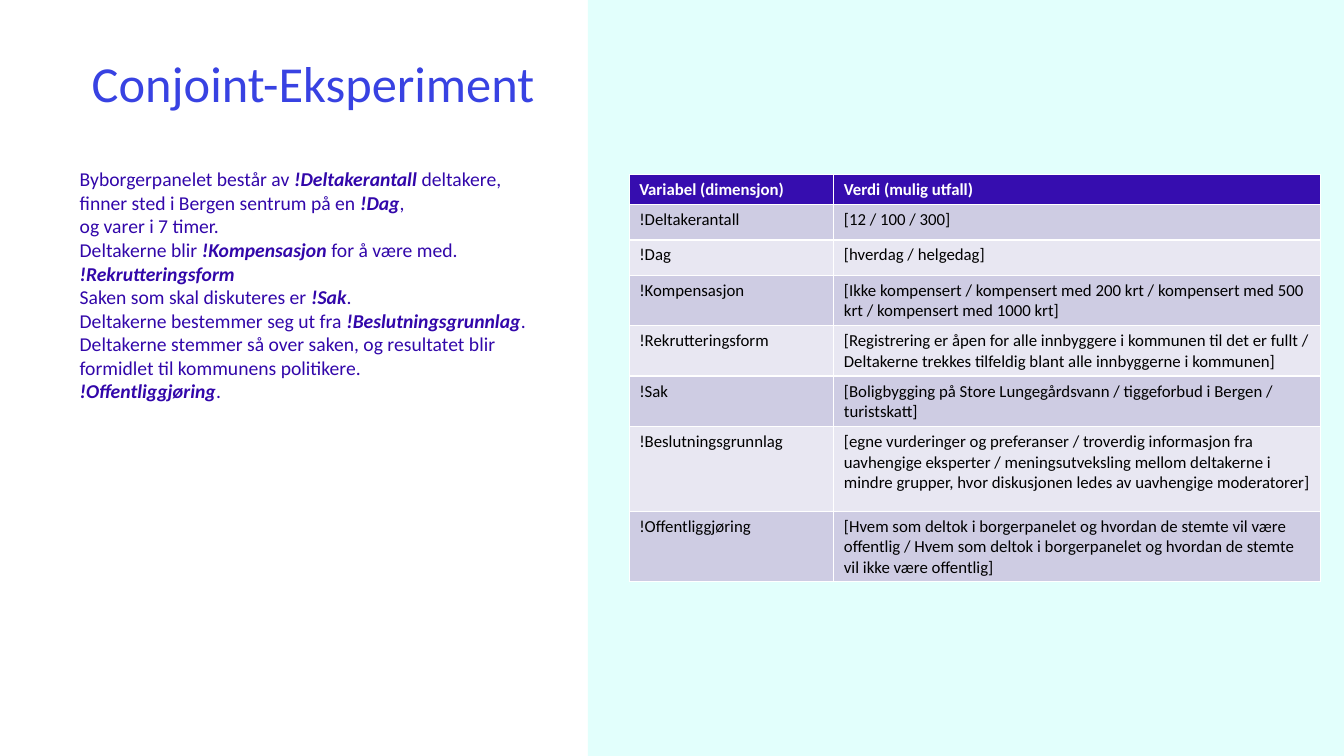
from pptx import Presentation
from pptx.dml.color import RGBColor
from pptx.enum.shapes import MSO_SHAPE
from pptx.util import Inches, Pt

FONT = "Calibri"
MINT = RGBColor(0xE2, 0xFF, 0xFC)
BLUE = RGBColor(0x38, 0x42, 0xE2)
PURPLE = RGBColor(0x32, 0x07, 0xAA)
HEADER = RGBColor(0x36, 0x0D, 0xAF)
BANDS = (RGBColor(0xE8, 0xE7, 0xF2), RGBColor(0xCE, 0xCC, 0xE3))
WHITE = RGBColor(0xFF, 0xFF, 0xFF)
BLACK = RGBColor(0, 0, 0)

LINES = [
    ["Byborgerpanelet består av ", "!Deltakerantall", " deltakere,"],
    ["finner sted i Bergen sentrum på en ", "!Dag", ", "],
    ["og varer i 7 timer."],
    ["Deltakerne blir ", "!Kompensasjon", " for å være med."],
    ["!Rekrutteringsform"],
    ["Saken som skal diskuteres er ", "!Sak", "."],
    ["Deltakerne bestemmer seg ut fra ", "!Beslutningsgrunnlag", "."],
    ["Deltakerne stemmer så over saken, og resultatet blir formidlet til kommunens politikere."],
    ["!Offentliggjøring", "."],
]
ROWS = [
    (0.29, "Variabel (dimensjon)", "Verdi (mulig utfall)"),
    (0.35, "!Deltakerantall", "[12 / 100 / 300]"),
    (0.35, "!Dag", "[hverdag / helgedag]"),
    (0.47, "!Kompensasjon", "[Ikke kompensert / kompensert med 200 krt / "
     "kompensert med 500 krt / kompensert med 1000 krt]"),
    (0.47, "!Rekrutteringsform", "[Registrering er åpen for alle innbyggere i kommunen til det er "
     "fullt / Deltakerne trekkes tilfeldig blant alle innbyggerne i kommunen]"),
    (0.47, "!Sak", "[Boligbygging på Store Lungegårdsvann / tiggeforbud i Bergen / turistskatt]"),
    (0.84, "!Beslutningsgrunnlag", "[egne vurderinger og preferanser / troverdig informasjon fra "
     "uavhengige eksperter / meningsutveksling mellom deltakerne i mindre grupper, "
     "hvor diskusjonen ledes av uavhengige moderatorer]"),
    (0.65, "!Offentliggjøring", "[Hvem som deltok i borgerpanelet og hvordan de stemte vil være "
     "offentlig / Hvem som deltok i borgerpanelet og hvordan de stemte vil ikke være offentlig]"),
]


def format_run(r, size, color, bold=False, italic=False):
    """Set the font of a run."""
    r.font.name, r.font.size = FONT, Pt(size)
    r.font.bold, r.font.italic = bold, italic
    r.font.color.rgb = color


def add_text_frame(s, x, y, w, h):
    """Add a wrapping text box without insets and return its frame."""
    tf = s.shapes.add_textbox(Inches(x), Inches(y), Inches(w), Inches(h)).text_frame
    tf.word_wrap = True
    tf.margin_left = tf.margin_right = tf.margin_top = tf.margin_bottom = 0
    return tf


def add_panel(s, x, y, w, h):
    """Add the tinted background panel."""
    sp = s.shapes.add_shape(MSO_SHAPE.RECTANGLE, Inches(x), Inches(y), Inches(w), Inches(h))
    sp.shadow.inherit = False
    sp.fill.solid()
    sp.fill.fore_color.rgb = MINT
    sp.line.fill.background()


def add_title(s, x, y, w, h):
    """Add the slide title."""
    p = add_text_frame(s, x, y, w, h).paragraphs[0]
    p.text = "Conjoint-Eksperiment"
    p.line_spacing = 0.9
    format_run(p.runs[0], 36, BLUE)


def add_description(s, x, y, w, h):
    """Add the experiment text with its variables emphasised."""
    p = add_text_frame(s, x, y, w, h).paragraphs[0]
    for i, line in enumerate(LINES):
        if i:
            p.add_line_break()
        for part in line:
            r = p.add_run()
            r.text = part
            variable = part.startswith("!")
            format_run(r, 14, PURPLE, variable, variable)


def add_variable_table(s, x, y, widths):
    """Add the table of variables and their possible values."""
    height = sum(row[0] for row in ROWS)
    table = s.shapes.add_table(len(ROWS), len(widths), Inches(x), Inches(y),
                               Inches(sum(widths)), Inches(height)).table
    for column, width in zip(table.columns, widths):
        column.width = Inches(width)
    for i, (row_height, *texts) in enumerate(ROWS):
        table.rows[i].height = Inches(row_height)
        for cell, text in zip(table.rows[i].cells, texts):
            cell.fill.solid()
            cell.fill.fore_color.rgb = BANDS[i % 2] if i else HEADER
            cell.text_frame.text = text
            format_run(cell.text_frame.paragraphs[0].runs[0], 12, BLACK if i else WHITE, i == 0)


def main():
    """Build and save the slide."""
    prs = Presentation()
    prs.slide_width, prs.slide_height = Inches(13.33), Inches(7.5)
    s = prs.slides.add_slide(prs.slide_layouts[6])
    add_panel(s, 5.83, 0, 7.5, 7.5)
    add_title(s, 0.91, 0.59, 4.89, 0.96)
    add_description(s, 0.79, 1.66, 4.88, 4.33)
    add_variable_table(s, 6.24, 1.73, (2.03, 4.83))
    prs.save("out.pptx")


if __name__ == "__main__":
    main()
